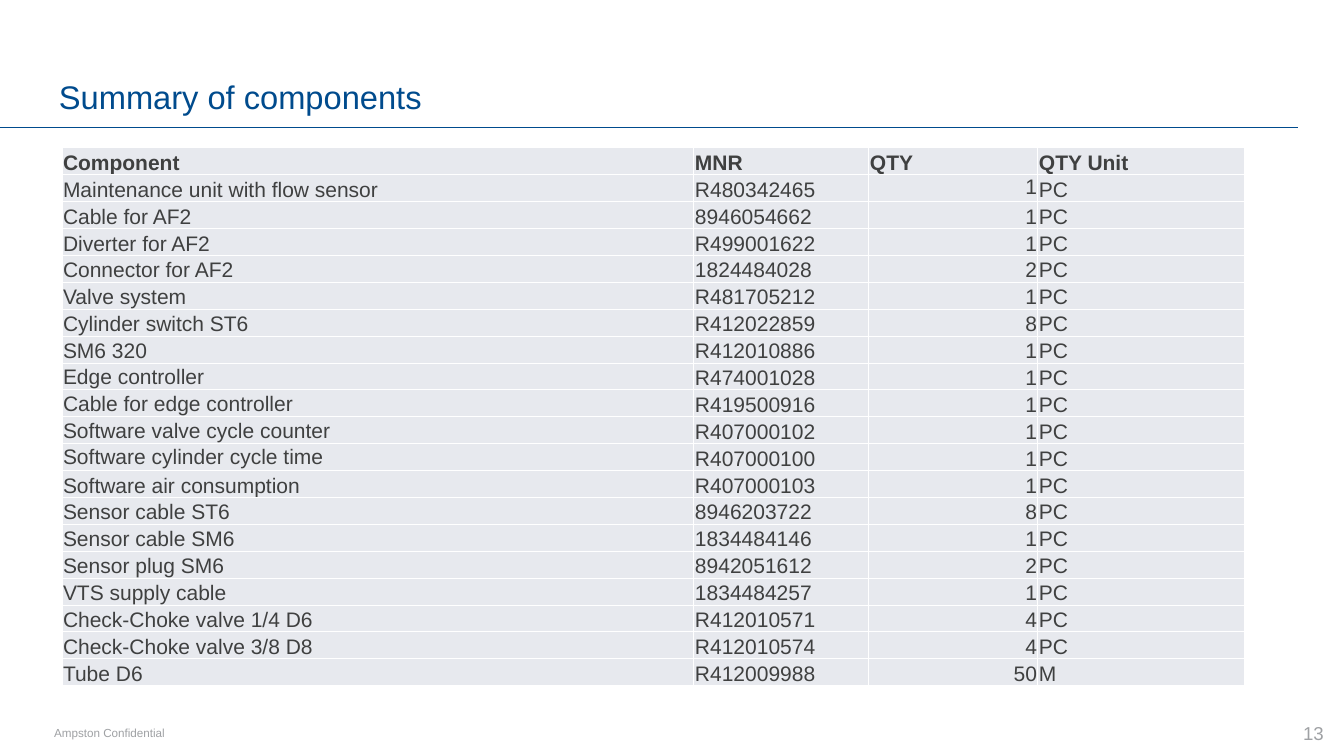
"""Builds the component summary slide with its parts table."""
import dataclasses

import lxml.etree
import pptx
import pptx.dml.color
import pptx.enum.shapes
import pptx.enum.text
import pptx.oxml.ns
import pptx.util

ALIGN = pptx.enum.text.PP_ALIGN
ANCHOR = pptx.enum.text.MSO_ANCHOR


@dataclasses.dataclass(frozen=True)
class Theme:
    font: str = "Arial"
    blue: str = "004B8D"
    grey: str = "9FA1A4"
    ink: str = "3F4040"
    cell: str = "E7E9EE"
    border: str = "FFFFFF"
    title_pt: int = 28
    table_pt: int = 18
    number_pt: int = 16
    footer_pt: int = 10
    rule_pt: float = 0.75
    border_pt: int = 1


def px(n):
    return pptx.util.Emu(round(n * 914400 / 84))


def rgb(color):
    return pptx.dml.color.RGBColor.from_string(color)


class Deck:
    def __init__(self, theme):
        self.t = theme
        self.prs = pptx.Presentation()
        self.prs.slide_width, self.prs.slide_height = px(1344), px(756)
        self.s = self.prs.slides.add_slide(self.prs.slide_layouts[5])

    def run(self, tf, text, size, color, align=ALIGN.LEFT, bold=False):
        p = tf.paragraphs[0]
        p.alignment = align
        r = p.add_run()
        r.text = text
        r.font.name, r.font.size, r.font.bold = self.t.font, pptx.util.Pt(size), bold
        r.font.color.rgb = rgb(color)

    def title(self, text, x, y, w, h):
        sp = self.s.shapes.title
        sp.left, sp.top, sp.width, sp.height = map(px, (x, y, w, h))
        tf = sp.text_frame
        tf.auto_size = pptx.enum.text.MSO_AUTO_SIZE.NONE
        tf.vertical_anchor = ANCHOR.BOTTOM
        tf.margin_left = tf.margin_right = px(13)
        tf.margin_top = tf.margin_bottom = px(7)
        self.run(tf, text, self.t.title_pt, self.t.blue)

    def text(self, text, x, y, w, h, size, align=ALIGN.LEFT, anchor=ANCHOR.TOP):
        tf = self.s.shapes.add_textbox(*map(px, (x, y, w, h))).text_frame
        tf.word_wrap = True
        tf.vertical_anchor = anchor
        self.run(tf, text, size, self.t.grey, align)

    def rule(self, x1, y1, x2, y2):
        straight = pptx.enum.shapes.MSO_CONNECTOR.STRAIGHT
        line = self.s.shapes.add_connector(straight, *map(px, (x1, y1, x2, y2)))
        line.line.color.rgb = rgb(self.t.blue)
        line.line.width = pptx.util.Pt(self.t.rule_pt)
        sp_pr = line._element.spPr
        lxml.etree.SubElement(sp_pr, pptx.oxml.ns.qn("a:effectLst"))

    def borders(self, cell):
        qn = pptx.oxml.ns.qn
        tc_pr = cell._tc.get_or_add_tcPr()
        for i, side in enumerate("LRTB"):
            ln = lxml.etree.Element(qn(f"a:ln{side}"), w=str(pptx.util.Pt(self.t.border_pt)))
            fill = lxml.etree.SubElement(ln, qn("a:solidFill"))
            lxml.etree.SubElement(fill, qn("a:srgbClr"), val=self.t.border)
            tc_pr.insert(i, ln)

    def cell(self, cell, text, align, anchor, bold):
        cell.margin_left = cell.margin_right = cell.margin_top = px(1)
        cell.margin_bottom = 0
        cell.vertical_anchor = anchor
        cell.fill.solid()
        cell.fill.fore_color.rgb = rgb(self.t.cell)
        self.run(cell.text_frame, text, self.t.table_pt, self.t.ink, align, bold)
        self.borders(cell)

    def table(self, rows, x, y, widths, h, anchors):
        frame = self.s.shapes.add_table(
            len(rows), len(widths), *map(px, (x, y, sum(widths), h)))
        table = frame.table
        table.first_row = table.horz_banding = False
        for column, width in zip(table.columns, widths):
            column.width = px(width)
        for i, values in enumerate(rows):
            table.rows[i].height = px(h / len(rows))
            for j, value in enumerate(values):
                align = ALIGN.RIGHT if isinstance(value, int) else ALIGN.LEFT
                anchor = anchors.get((i, j), ANCHOR.BOTTOM)
                self.cell(table.cell(i, j), str(value), align, anchor, i == 0)


HEADER = ("Component", "MNR", "QTY", "QTY Unit")
COMPONENTS = [
    ("Maintenance unit with flow sensor", "R480342465", 1, "PC"),
    ("Cable for AF2", "8946054662", 1, "PC"),
    ("Diverter for AF2", "R499001622", 1, "PC"),
    ("Connector for AF2", "1824484028", 2, "PC"),
    ("Valve system", "R481705212", 1, "PC"),
    ("Cylinder switch ST6", "R412022859", 8, "PC"),
    ("SM6 320", "R412010886", 1, "PC"),
    ("Edge controller", "R474001028", 1, "PC"),
    ("Cable for edge controller", "R419500916", 1, "PC"),
    ("Software valve cycle counter", "R407000102", 1, "PC"),
    ("Software cylinder cycle time", "R407000100", 1, "PC"),
    ("Software air consumption", "R407000103", 1, "PC"),
    ("Sensor cable ST6", "8946203722", 8, "PC"),
    ("Sensor cable SM6", "1834484146", 1, "PC"),
    ("Sensor plug SM6", "8942051612", 2, "PC"),
    ("VTS supply cable", "1834484257", 1, "PC"),
    ("Check-Choke valve 1/4 D6", "R412010571", 4, "PC"),
    ("Check-Choke valve 3/8 D8", "R412010574", 4, "PC"),
    ("Tube D6", "R412009988", 50, "M"),
]


def main():
    theme = Theme()
    deck = Deck(theme)
    deck.rule(0, 127, 1298, 127)
    deck.title("Summary of components", 46, 30, 1252, 93)
    deck.text("Ampston Confidential", 46, 722, 766, 23, theme.footer_pt)
    deck.text("13", 1246, 722, 86, 23, theme.number_pt, ALIGN.RIGHT, ANCHOR.MIDDLE)
    anchors = {(row, 0): ANCHOR.MIDDLE for row in range(8, 12)}
    anchors[1, 2] = ANCHOR.TOP
    deck.table([HEADER, *COMPONENTS], 62, 148, (632, 175, 169, 207), 538, anchors)
    deck.prs.save("out.pptx")


if __name__ == "__main__":
    main()
